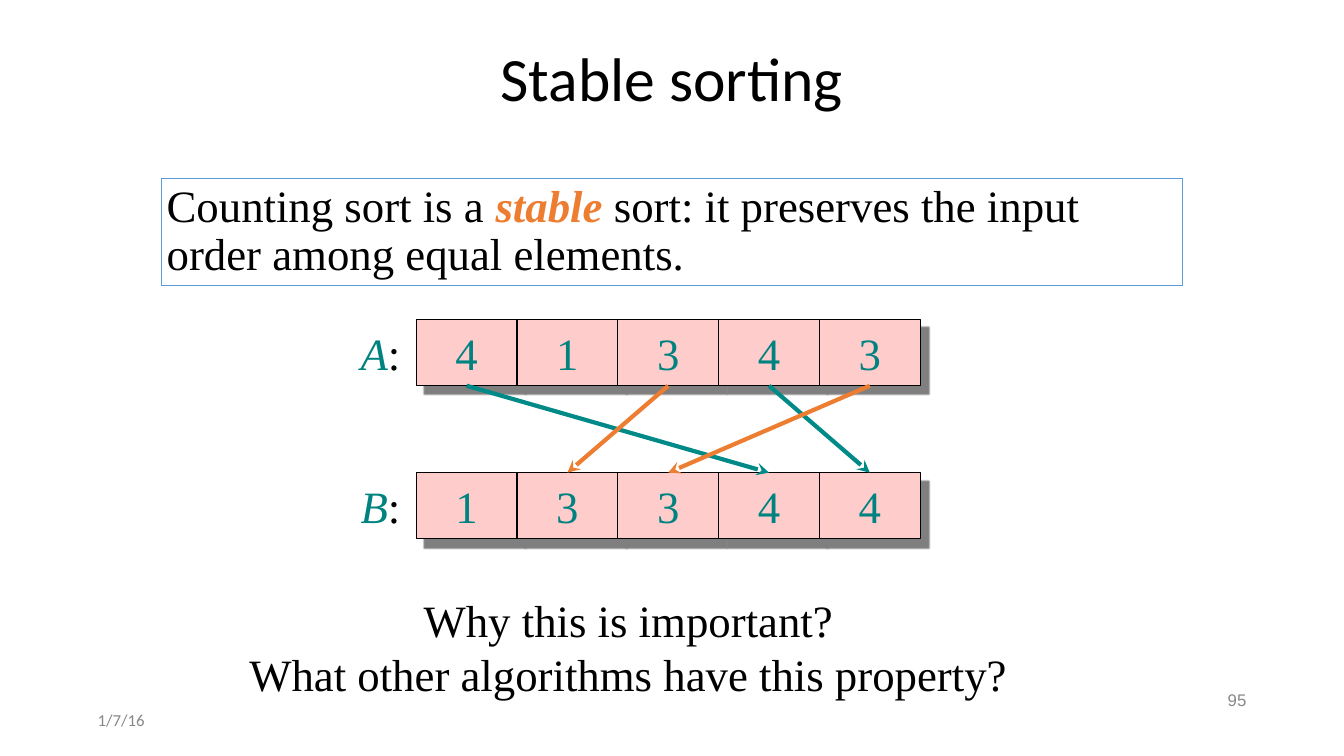
import pptx
import pptx.util
import pptx.dml.color
import pptx.enum.shapes
import pptx.enum.text
import pptx.oxml
import pptx.oxml.ns
from dataclasses import dataclass
from lxml import etree

Cm, Pt = pptx.util.Cm, pptx.util.Pt
Align = pptx.enum.text.PP_ALIGN
Anchor = pptx.enum.text.MSO_ANCHOR
qn = pptx.oxml.ns.qn


@dataclass(frozen=True)
class Theme:
    black: str = "000000"
    teal: str = "008380"
    arrow: str = "008A87"
    orange: str = "ED7D31"
    pink: str = "FFCCCC"
    blue: str = "5B9BD5"
    shade: str = "808080"
    gray: str = "888888"
    serif: str = "Times New Roman"
    sans: str = "Calibri"
    plain: str = "Arial"
    title: int = 44
    body: int = 32
    small: int = 12


def color(code):
    return pptx.dml.color.RGBColor.from_string(code)


def write(para, text, *, size, hue, font, bold=False, slant=False):
    run = para.add_run()
    run.text = text
    run.font.size = Pt(size)
    run.font.color.rgb = color(hue)
    run.font.name = font
    run.font.bold = bold
    run.font.italic = slant


class Board:
    def __init__(self, slide, theme):
        self.slide = slide
        self.theme = theme

    def fill_text(self, shape, lines, align, anchor, wrap=True, space=1, before=0, **style):
        """Write lines, each a list of (text, changes to the style) pairs."""
        base = dict(size=self.theme.body, hue=self.theme.black, font=self.theme.serif)
        frame = shape.text_frame
        frame.word_wrap = wrap
        frame.vertical_anchor = anchor
        frame.margin_left = frame.margin_right = Cm(0.13)
        frame.margin_top = frame.margin_bottom = Cm(0.13)
        for i, parts in enumerate(lines):
            para = frame.add_paragraph() if i else frame.paragraphs[0]
            para.alignment = align
            para.line_spacing = space
            para.space_before = Pt(before)
            for text, change in parts:
                write(para, text, **{**base, **style, **change})

    def label(self, box, lines, align=Align.LEFT, anchor=Anchor.MIDDLE, **style):
        shape = self.slide.shapes.add_textbox(*map(Cm, box))
        self.fill_text(shape, lines, align, anchor, **style)

    def block(self, box, line, width, fill=None):
        kind = pptx.enum.shapes.MSO_SHAPE.RECTANGLE
        shape = self.slide.shapes.add_shape(kind, *map(Cm, box))
        if fill:
            shape.fill.solid()
            shape.fill.fore_color.rgb = color(fill)
        else:
            shape.fill.background()
        shape.line.color.rgb = color(line)
        shape.line.width = Pt(width)
        shape.shadow.inherit = False
        return shape

    def cell(self, box, text):
        theme = self.theme
        shape = self.block(box, theme.black, 0.75, theme.pink)
        glow = shape.element.spPr.find(qn("a:effectLst"))
        drop = etree.SubElement(glow, qn("a:outerShdw"), blurRad=str(Pt(1)),
                                dist=str(Pt(8.5)), dir="2700000", algn="ctr", rotWithShape="0")
        etree.SubElement(drop, qn("a:srgbClr"), val=theme.shade)
        self.fill_text(shape, [[(text, {})]], Align.CENTER, Anchor.MIDDLE, hue=theme.teal)
        return shape

    def row(self, name, values, left, top, side, height):
        """Draw a named array and return its cells."""
        self.label((left - 1.57, top + 0.03, 1.3, 1.52),
                   [[(name, dict(hue=self.theme.teal, slant=True)), (":", {})]],
                   Align.RIGHT, Anchor.TOP, wrap=False)
        return [self.cell((left + i * side, top, side, height), v)
                for i, v in enumerate(values)]

    def arrow(self, start, end, hue):
        """Join the bottom of one cell to the top of another."""
        kind = pptx.enum.shapes.MSO_CONNECTOR.STRAIGHT
        line = self.slide.shapes.add_connector(kind, 0, 0, 0, 0)
        line.begin_connect(start, 2)
        line.end_connect(end, 0)
        line.line.color.rgb = color(hue)
        line.line.width = Pt(3)
        etree.SubElement(line.line._get_or_add_ln(), qn("a:tailEnd"), type="stealth")
        etree.SubElement(line.element.spPr, qn("a:effectLst"))


def main():
    deck = pptx.Presentation()
    deck.slide_width, deck.slide_height = Cm(33.87), Cm(19.05)
    theme = Theme()
    board = Board(deck.slides.add_slide(deck.slide_layouts[6]), theme)

    board.label((2.33, 0.79, 29.21, 2.54), [[("Stable sorting", {})]], Align.CENTER,
                space=0.9, size=theme.title, font=theme.sans)

    claim = board.block((4.07, 4.5, 25.73, 2.69), theme.blue, 1)
    stress = dict(hue=theme.orange, bold=True, slant=True)
    board.fill_text(claim, [[("Counting sort is a ", {}), ("stable", stress),
                             (" sort: it preserves the input order among equal elements.", {})]],
                    Align.LEFT, Anchor.TOP, space=0.9, before=11)

    size = dict(left=10.49, side=2.54, height=1.67)
    source = board.row("A", "41343", top=8.05, **size)
    result = board.row("B", "13344", top=11.91, **size)
    for i, j, hue in [(0, 3, theme.arrow), (2, 1, theme.orange),
                      (3, 4, theme.arrow), (4, 2, theme.orange)]:
        board.arrow(source[i], result[j], hue)

    board.label((6.15, 14.81, 19.38, 2.82),
                [[("Why this is important?", {})],
                 [("What other algorithms have this property?", {})]],
                Align.CENTER, Anchor.TOP, wrap=False)
    note = dict(size=theme.small, hue=theme.gray)
    board.label((2.33, 17.78, 7.62, 0.74), [[("1/7/16", {})]], font=theme.sans, **note)
    board.label((23.92, 17.27, 7.62, 0.74), [[("95", {})]], Align.RIGHT,
                font=theme.plain, **note)
    deck.save("out.pptx")


if __name__ == "__main__":
    main()
